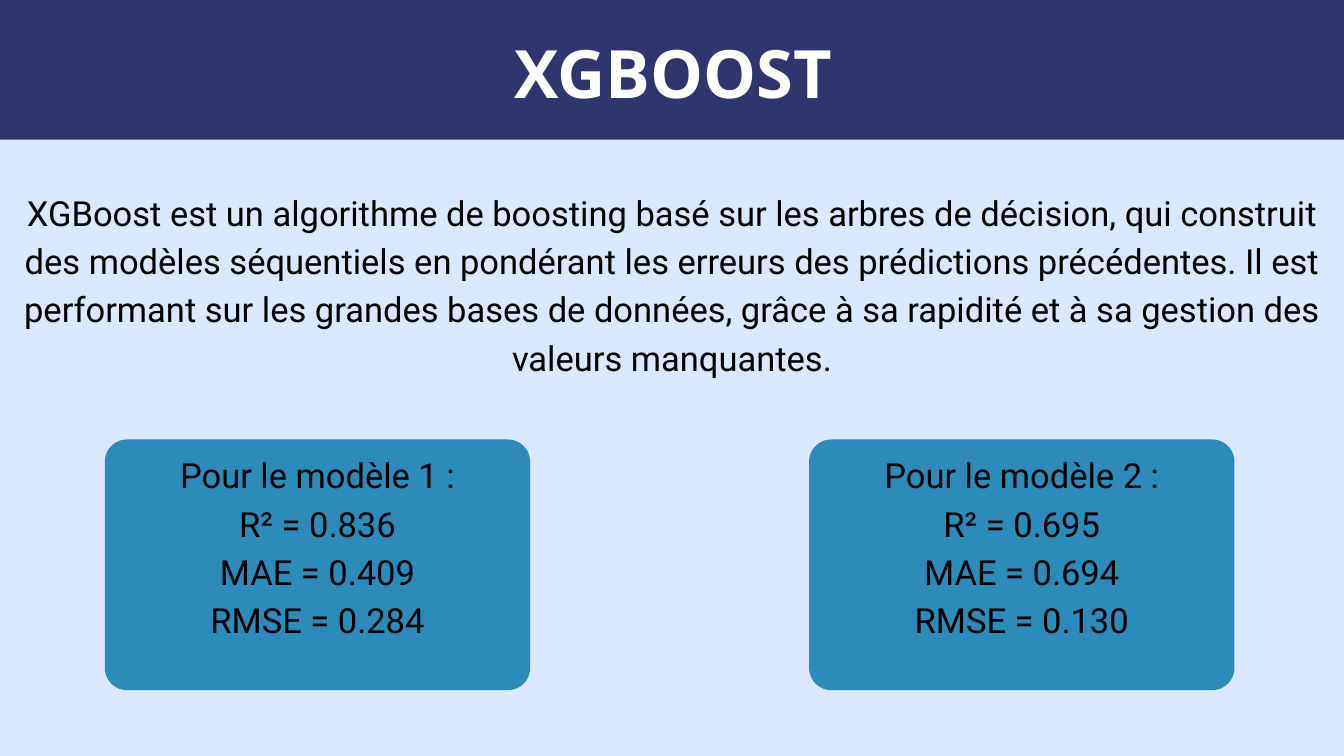
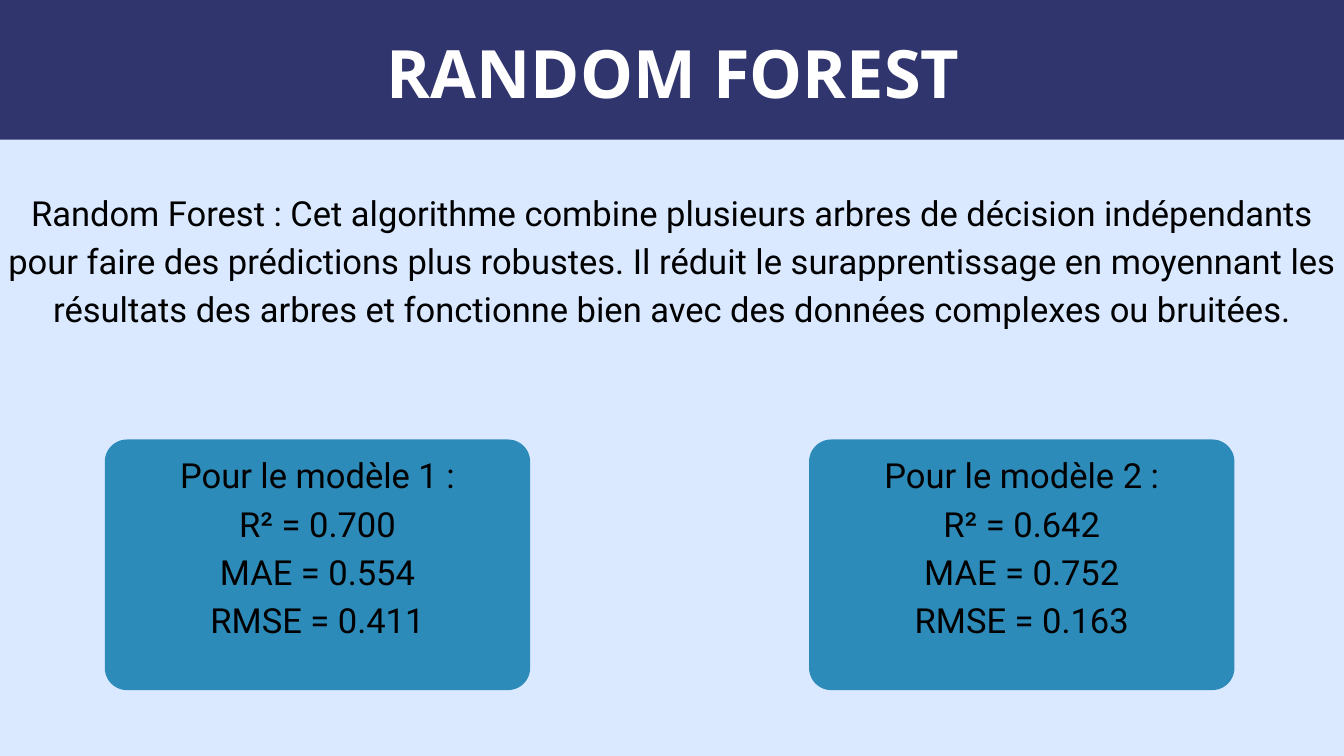
from pptx import Presentation
from pptx.dml.color import RGBColor
from pptx.enum.shapes import MSO_SHAPE
from pptx.enum.text import MSO_ANCHOR, PP_ALIGN
from pptx.util import Inches, Pt

WIDTH, HEIGHT = 20, 11.25
COLORS = {
    "background": "DAE9FF",
    "band": "31356E",
    "card": "2D8BBA",
    "title": "FFFFFF",
    "body": "000000",
}
# font, size, line spacing, colour, bold
TITLE = ("Open Sans", 71.4, 68.5, "title", True)
BODY = ("Roboto", 37, 51.8, "body", False)

BAND_HEIGHT = 2.08
CARD_LEFT, CARD_STEP, CARD_TOP = 1.56, 10.48, 6.54
CARD_WIDTH, CARD_HEIGHT, CARD_RADIUS = 6.33, 3.73, 0.33
CARD_TEXT_WIDTH, CARD_TEXT_TOP, CARD_TEXT_HEIGHT = 4.18, 6.66, 3.6

METRICS = ("R²", "MAE", "RMSE")
SLIDES = [
    (
        "XGBOOST",
        "XGBoost est un algorithme de boosting basé sur les arbres de décision, "
        "qui construit des modèles séquentiels en pondérant les erreurs des "
        "prédictions précédentes. Il est performant sur les grandes bases de "
        "données, grâce à sa rapidité et à sa gestion des valeurs manquantes.",
        2.88,
        [("0.836", "0.409", "0.284"), ("0.695", "0.694", "0.130")],
    ),
    (
        "RANDOM FOREST",
        "Random Forest : Cet algorithme combine plusieurs arbres de décision "
        "indépendants pour faire des prédictions plus robustes. Il réduit le "
        "surapprentissage en moyennant les résultats des arbres et fonctionne "
        "bien avec des données complexes ou bruitées.",
        2.16,
        [("0.700", "0.554", "0.411"), ("0.642", "0.752", "0.163")],
    ),
]


def rgb(name):
    return RGBColor.from_string(COLORS[name])


def add_block(s, shape, left, top, width, height, color):
    """Add a plain filled shape without outline or shadow."""
    sp = s.shapes.add_shape(shape, *map(Inches, (left, top, width, height)))
    sp.shadow.inherit = False
    sp.fill.solid()
    sp.fill.fore_color.rgb = rgb(color)
    sp.line.fill.background()
    return sp


def add_text(s, lines, left, top, width, height, style):
    """Add a centred text box with one paragraph per line."""
    font, size, spacing, color, bold = style
    tf = s.shapes.add_textbox(*map(Inches, (left, top, width, height))).text_frame
    tf.word_wrap = True
    tf.vertical_anchor = MSO_ANCHOR.TOP
    tf.margin_left = tf.margin_right = tf.margin_top = tf.margin_bottom = 0
    for i, line in enumerate(lines):
        p = tf.add_paragraph() if i else tf.paragraphs[0]
        p.alignment = PP_ALIGN.CENTER
        p.line_spacing = Pt(spacing)
        r = p.add_run()
        r.text = line
        r.font.name = font
        r.font.size = Pt(size)
        r.font.bold = bold
        r.font.color.rgb = rgb(color)


def add_title_band(s, title):
    add_block(s, MSO_SHAPE.RECTANGLE, 0, 0, WIDTH, BAND_HEIGHT, "band")
    width = 12.33
    add_text(s, [title], (WIDTH - width) / 2 + 0.02, 0.71, width, 1.01, TITLE)


def add_model_card(s, index, scores):
    left = CARD_LEFT + index * CARD_STEP
    card = add_block(s, MSO_SHAPE.ROUNDED_RECTANGLE, left, CARD_TOP,
                     CARD_WIDTH, CARD_HEIGHT, "card")
    card.adjustments[0] = CARD_RADIUS / CARD_HEIGHT
    lines = [f"Pour le modèle {index + 1} :"]
    lines += [f"{metric} = {score}" for metric, score in zip(METRICS, scores)]
    add_text(s, lines, left + (CARD_WIDTH - CARD_TEXT_WIDTH) / 2, CARD_TEXT_TOP,
             CARD_TEXT_WIDTH, CARD_TEXT_HEIGHT, BODY)


def add_algorithm_slide(prs, title, description, text_height, models):
    s = prs.slides.add_slide(prs.slide_layouts[6])
    s.background.fill.solid()
    s.background.fill.fore_color.rgb = rgb("background")
    add_title_band(s, title)
    add_text(s, [description], 0, 2.75, WIDTH, text_height, BODY)
    for index, scores in enumerate(models):
        add_model_card(s, index, scores)


def main():
    prs = Presentation()
    prs.slide_width, prs.slide_height = Inches(WIDTH), Inches(HEIGHT)
    for content in SLIDES:
        add_algorithm_slide(prs, *content)
    prs.save("out.pptx")


if __name__ == "__main__":
    main()
